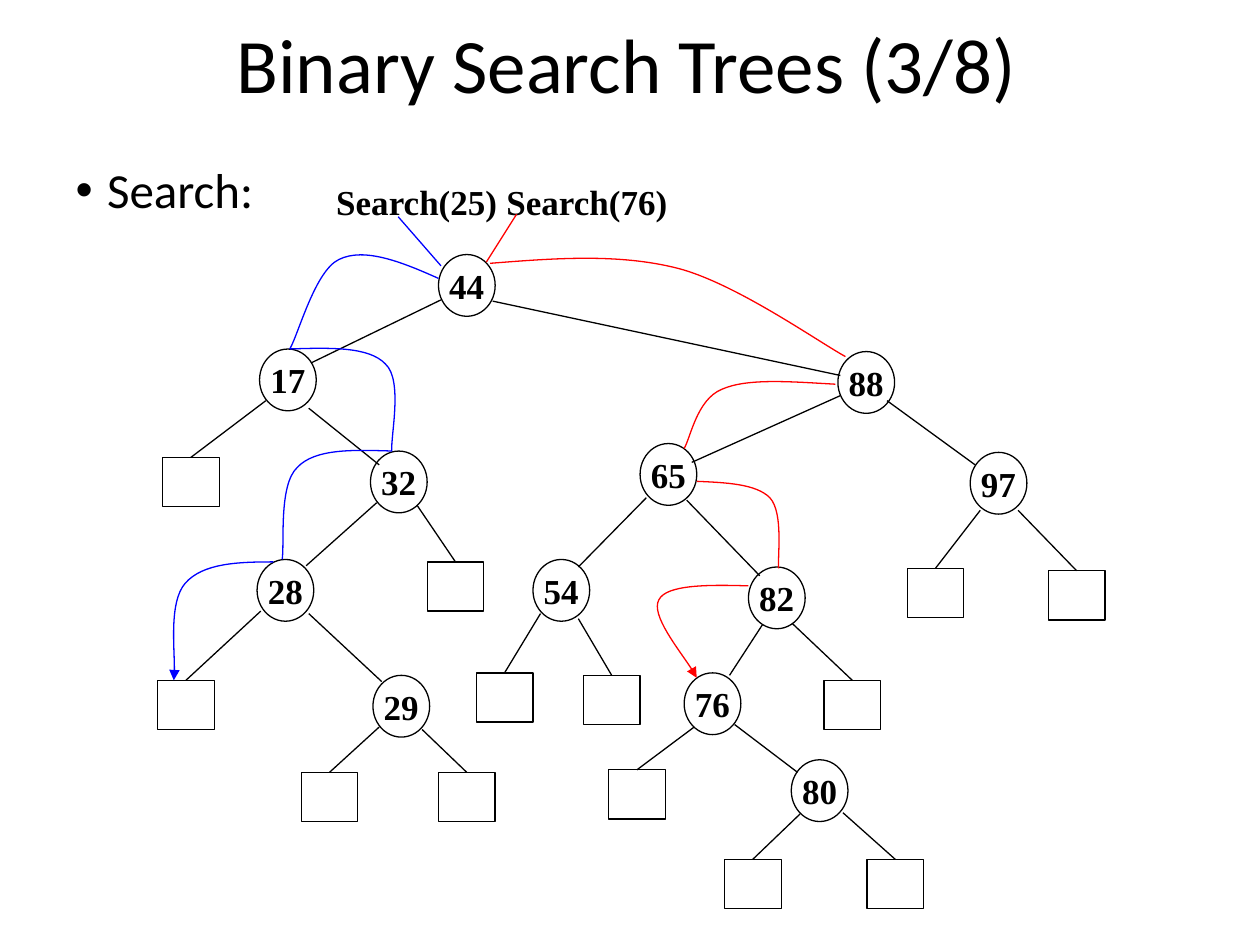
from pptx import Presentation
from pptx.dml.color import RGBColor
from pptx.enum.shapes import MSO_CONNECTOR, MSO_SHAPE
from pptx.enum.text import MSO_ANCHOR, MSO_AUTO_SIZE, PP_ALIGN
from pptx.oxml.ns import qn
from pptx.oxml.xmlchemy import OxmlElement
from pptx.util import Inches, Pt

COLORS = {"ink": "000000", "miss": "0000FF", "hit": "FF0000"}
COLS, ROWS = 100, 75
NODE_W, NODE_H, LEAF_H = 4.5, 4.9, 3.9

NODES = {
    "44": (34.8, 20.2), "17": (20.6, 27.7), "88": (66.5, 27.9),
    "32": (29.4, 35.8), "65": (50.8, 35.2), "97": (77, 35.9),
    "28": (20.4, 44.4), "54": (42.3, 44.4), "82": (59.4, 45),
    "29": (29.6, 53.6), "76": (54.3, 53.4), "80": (62.8, 60.3),
}
BRANCHES = [
    (35, 23.8, 24.7, 28.8), (39.1, 23.9, 66.7, 29.8),
    (24.5, 32.4, 30.1, 36.9), (29.9, 39.9, 24.3, 44.9),
    (24.5, 48.7, 30.3, 54.1), (66.7, 31.4, 54.9, 36.7),
    (70.4, 31.8, 77.4, 36.9), (54.5, 39.7, 60.3, 45.7),
    (51.3, 39.5, 45.9, 45), (60.5, 49.6, 57.9, 53.6),
    (58.3, 57.5, 63.3, 61.3),
]
LEAVES = [
    ((12.9, 36.3), (21.1, 31.8)), ((33.9, 44.6), (33.1, 40.1)),
    ((12.5, 54), (20.7, 48.5)), ((23.9, 61.3), (30.1, 57.7)),
    ((34.8, 61.3), (33.5, 57.9)), ((37.8, 53.4), (42.9, 48.7)),
    ((46.3, 53.6), (45.9, 49.1)), ((48.3, 61.1), (55.1, 57.7)),
    ((65.4, 54), (62.9, 49.5)), ((57.5, 68.2), (63.5, 64.6)),
    ((68.8, 68.2), (66.9, 64.5)), ((72, 45.1), (77.8, 40.5)),
    ((83.2, 45.3), (80.8, 40.5)),
]
SEARCHES = [
    ("Search(25)", 25.7, "miss", (31.6, 17.2, 35, 21.1), [
        [(34.8, 22.1), (31.9, 20.8), (28.9, 19.6), (26.9, 20.6),
         (25, 21.5), (23.7, 26.5), (23, 27.7)],
        [(23, 27.7), (26.2, 27.6), (29.3, 27.5), (30.6, 28.9),
         (32, 30.2), (31, 34.6), (31.1, 35.8)],
        [(31.1, 35.8), (28, 35.7), (25, 35.6), (23.6, 37.1),
         (22.1, 38.5), (22.6, 43.2), (22.4, 44.4)],
        [(21.7, 44.6), (18.9, 44.6), (16.1, 44.7), (14.7, 46.3),
         (13.4, 47.8), (14, 52.7), (13.8, 54)],
    ]),
    ("Search(76)", 39.2, "hit", (41, 17, 38.6, 20.8), [
        [(38.9, 20.9), (44, 20.5), (49.1, 20.1), (53.8, 21.3),
         (58.4, 22.5), (64.9, 27.1), (67.1, 28.3)],
        [(66.3, 30.5), (62.8, 30.3), (59.3, 30), (57.3, 30.9),
         (55.3, 31.7), (54.8, 34.8), (54.3, 35.6)],
        [(55.3, 38.2), (57.6, 38.3), (60, 38.4), (61.1, 39.5),
         (62.2, 40.7), (61.7, 44.2), (61.8, 45.1)],
        [(59.4, 46.5), (56.2, 46.4), (52.9, 46.4), (52.3, 47.6),
         (51.6, 48.8), (54.8, 52.7), (55.3, 53.8)],
    ]),
]


def write(tf, text, font="Times New Roman", size=20, bold=True, align=PP_ALIGN.LEFT, spacing=None):
    p = tf.paragraphs[0]
    p.alignment = align
    p.line_spacing = spacing
    r = p.add_run()
    r.text = text
    r.font.name, r.font.size, r.font.bold = font, Pt(size), bold
    r.font.color.rgb = RGBColor.from_string(COLORS["ink"])
    return p


class TreeSlide:
    def __init__(self, prs):
        self.cell_w, self.cell_h = prs.slide_width / COLS, prs.slide_height / ROWS
        self.s = prs.slides.add_slide(prs.slide_layouts[1])

    def grid(self, *lengths):
        cells = (self.cell_w, self.cell_h)
        return [round(v * cells[i % 2]) for i, v in enumerate(lengths)]

    def outline(self, sp, color="ink"):
        sp.line.color.rgb = RGBColor.from_string(COLORS[color])
        sp.line.width = Pt(0.75)

    def placeholder(self, sp, box, text, **fmt):
        sp.left, sp.top, sp.width, sp.height = self.grid(*box)
        return write(sp.text_frame, text, font="Calibri", bold=False, spacing=0.9, **fmt)

    def title(self, text):
        sp = self.s.shapes.title
        self.placeholder(sp, (13.8, 1.4, 71.9, 8.1), text, size=44, align=PP_ALIGN.CENTER)
        sp.text_frame.vertical_anchor = MSO_ANCHOR.MIDDLE

    def bullet(self, text):
        p = self.placeholder(self.s.placeholders[1], (5, 12.7, 90, 49.2), text, size=28)
        p.space_before = Pt(10)
        pPr = p._p.get_or_add_pPr()
        pPr.set("marL", str(Inches(0.25)))
        pPr.set("indent", str(-Inches(0.25)))

    def box(self, kind, x, y, h):
        sp = self.s.shapes.add_shape(kind, *self.grid(x, y, NODE_W, h))
        sp.shadow.inherit = False
        sp.fill.background()
        self.outline(sp)
        return sp

    def node(self, key, x, y):
        tf = self.box(MSO_SHAPE.OVAL, x, y, NODE_H).text_frame
        tf.word_wrap = False
        tf.vertical_anchor = MSO_ANCHOR.MIDDLE
        write(tf, key, align=PP_ALIGN.CENTER)

    def line(self, ends, color="ink"):
        c = self.s.shapes.add_connector(MSO_CONNECTOR.STRAIGHT, *self.grid(*ends))
        self.outline(c, color)
        c.element.spPr.append(OxmlElement("a:effectLst"))
        return c

    def leaf(self, corner, start):
        sp = self.box(MSO_SHAPE.RECTANGLE, *corner, LEAF_H)
        self.line((*start, *corner)).end_connect(sp, 0)

    def label(self, text, x, y):
        tf = self.s.shapes.add_textbox(*self.grid(x, y, 14.8, 4.4)).text_frame
        tf.word_wrap = False
        tf.auto_size = MSO_AUTO_SIZE.SHAPE_TO_FIT_TEXT
        write(tf, text)

    def curve(self, points, color, arrow=False):
        start, *rest = [self.grid(*pt) for pt in points]
        fb = self.s.shapes.build_freeform(*start)
        fb.add_line_segments(rest, close=False)
        sp = fb.convert_to_shape()
        sp.shadow.inherit = False
        sp.fill.background()
        self.outline(sp, color)
        segments = list(sp.element.iter(qn("a:lnTo")))
        for i in range(0, len(segments), 3):
            bezier = OxmlElement("a:cubicBezTo")
            segments[i].addprevious(bezier)
            for seg in segments[i:i + 3]:
                bezier.append(seg[0])
                seg.getparent().remove(seg)
        if arrow:
            tail = OxmlElement("a:tailEnd")
            tail.set("type", "triangle")
            sp.line._get_or_add_ln().append(tail)


def main():
    prs = Presentation()
    prs.slide_width, prs.slide_height = Inches(10), Inches(7.5)
    tree = TreeSlide(prs)
    tree.title("Binary Search Trees (3/8)")
    tree.bullet("Search:")
    for key, (x, y) in NODES.items():
        tree.node(key, x, y)
    for ends in BRANCHES:
        tree.line(ends)
    for corner, start in LEAVES:
        tree.leaf(corner, start)
    for text, x, color, pointer, hops in SEARCHES:
        tree.label(text, x, 13.8)
        tree.line(pointer, color)
        for hop in hops:
            tree.curve(hop, color, arrow=hop is hops[-1])
    prs.save("out.pptx")


if __name__ == "__main__":
    main()
